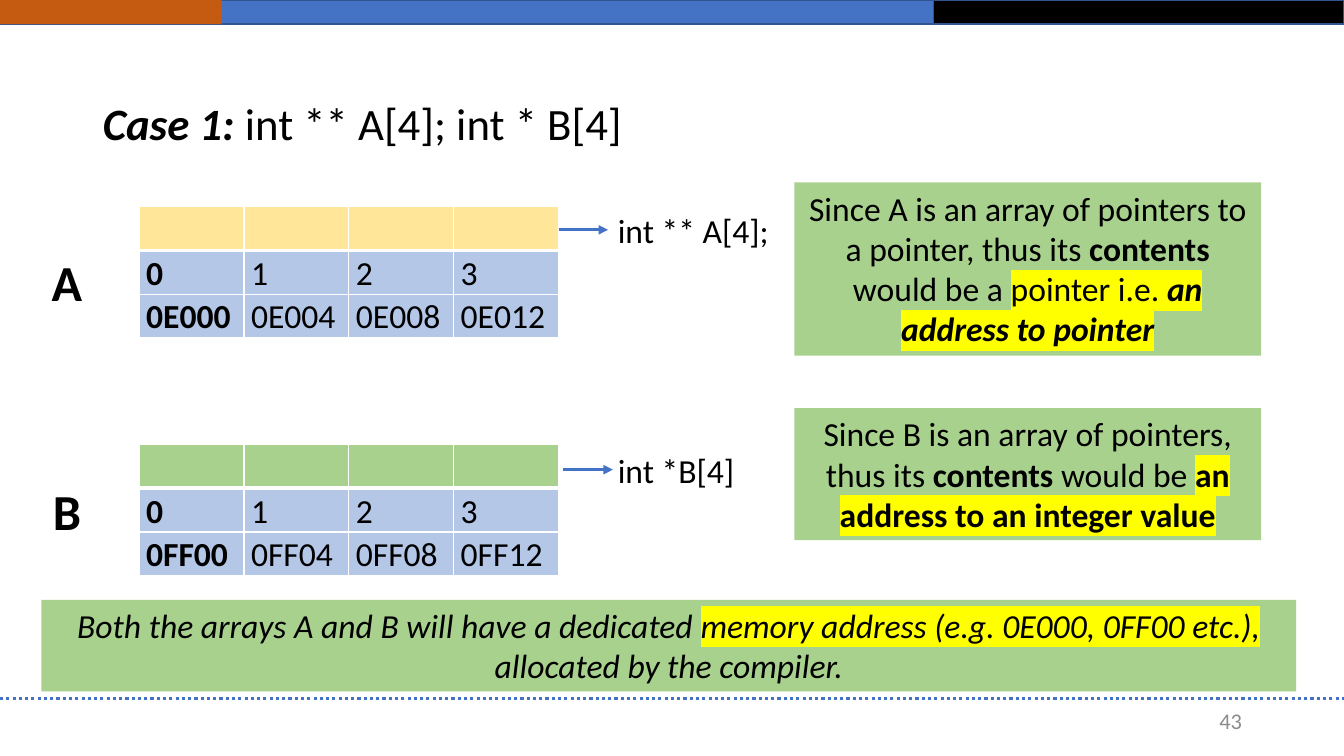
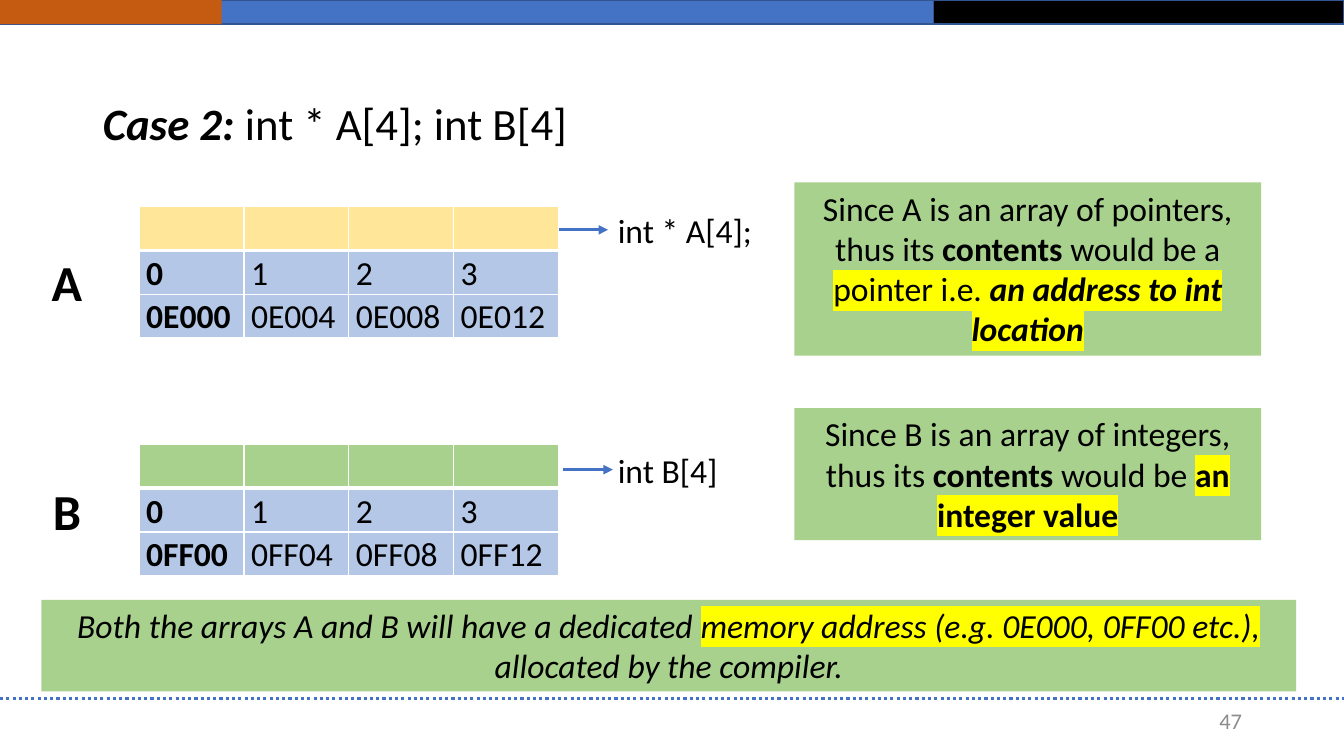
from lxml import etree
from pptx import Presentation
from pptx.dml.color import RGBColor
from pptx.enum import dml, shapes, text
from pptx.oxml import ns
from pptx.util import Pt

FONT = "Calibri"
BLUE = RGBColor(0x44, 0x72, 0xC4)
NAVY = RGBColor(0x32, 0x54, 0x91)
ORANGE = RGBColor(0xC5, 0x5A, 0x11)
BLACK = RGBColor(0x00, 0x00, 0x00)
WHITE = RGBColor(0xFF, 0xFF, 0xFF)
GRAY = RGBColor(0x8C, 0x8C, 0x8C)
GREEN = RGBColor(0xA9, 0xD1, 0x8E)
CREAM = RGBColor(0xFF, 0xE6, 0x99)
PALE = RGBColor(0xB4, 0xC7, 0xE7)
YELLOW = RGBColor(0xFF, 0xFF, 0x00)

WIDTH, HEIGHT = 960, 540
BAND_H, RULE_Y = 17.28, 499
TITLE_BOX = (66.24, 59.76, 828, 60.48)
NUMBER_BOX = (678.24, 500.4, 216, 28.8)
SUMMARY_BOX = (29.5, 428.4, 896.4, 65.5)
COL_W, ROW_H = 74.9, 31.25

# Box of each array: left, top; then offsets of its parts within the box
ARRAYS = [
    dict(name="A", box=(18, 146.2), letter_dy=7.9, table_dy=1.4, arrow_dx=381,
         fill=CREAM, addresses=["0E000", "0E004", "0E008", "0E012"]),
    dict(name="B", box=(18, 317.5), letter_dy=0, table_dy=0, arrow_dx=384.5,
         fill=GREEN, addresses=["0FF00", "0FF04", "0FF08", "0FF12"]),
]
NOTE_BOXES = [(567.4, 130.3, 333.4, 123.8), (567.4, 291.6, 333.4, 94.3)]

# Runs are (text, style); style letters: b bold, i italic, h highlight
SUMMARY = [
    ("Both the arrays A and B will have a dedicated ", "i"),
    ("memory address (e.g. 0E000, 0FF00 etc.), ", "ih"),
    ("allocated by the compiler.", "i"),
]
CASES = [
    dict(number="43", title=[("Case 1:", "bi"), (" int ** A[4]; int * B[4]", "")],
         labels=["int ** A[4];", "int *B[4]"],
         notes=[
             [("Since A is an array of pointers to a pointer, thus its ", ""),
              ("contents ", "b"), ("would be a ", ""), ("pointer i.e. ", "h"),
              ("an address to pointer", "bih")],
             [("Since B is an array of pointers, thus its ", ""),
              ("contents ", "b"), ("would be ", ""),
              ("an address to an integer value", "bh")]]),
    dict(number="47", title=[("Case 2:", "bi"), (" int * A[4]; int B[4]", "")],
         labels=["int * A[4];", "int B[4]"],
         notes=[
             [("Since A is an array of pointers, thus its ", ""),
              ("contents ", "b"), ("would be a ", ""), ("pointer i.e. ", "h"),
              ("an address to int location", "bih")],
             [("Since B is an array of integers, thus its ", ""),
              ("contents ", "b"), ("would be ", ""),
              ("an integer value", "bh")]]),
]


def pts(*values):
    return [Pt(v) for v in values]


def sub(parent, tag, **attrs):
    return etree.SubElement(parent, ns.qn(tag), attrs)


def add_runs(p, runs, size=24, color=BLACK, align=None, spacing=None):
    p.alignment = align
    p.line_spacing = spacing
    for words, style in runs:
        r = p.add_run()
        r.text = words
        f = r.font
        f.name, f.size = FONT, Pt(size)
        f.bold, f.italic = "b" in style, "i" in style
        f.color.rgb = color
        if "h" in style:
            mark = etree.Element(ns.qn("a:highlight"))
            sub(mark, "a:srgbClr", val=str(YELLOW))
            r._r.rPr.find(ns.qn("a:solidFill")).addnext(mark)


def add_text(slide, box, runs, wrap=True, anchor=text.MSO_ANCHOR.TOP, **style):
    tf = slide.shapes.add_textbox(*pts(*box)).text_frame
    tf.word_wrap, tf.vertical_anchor = wrap, anchor
    add_runs(tf.paragraphs[0], runs, **style)


def add_rect(slide, box, fill, line=None):
    sp = slide.shapes.add_shape(shapes.MSO_SHAPE.RECTANGLE, *pts(*box))
    sp.shadow.inherit = False
    sp.fill.solid()
    sp.fill.fore_color.rgb = fill
    if line is None:
        sp.line.fill.background()
    else:
        sp.line.color.rgb, sp.line.width = line, Pt(1)
    return sp


def add_line(slide, x1, y1, x2, y2):
    line = slide.shapes.add_connector(shapes.MSO_CONNECTOR.STRAIGHT,
                                      *pts(x1, y1, x2, y2))
    line.line.color.rgb, line.line.width = BLUE, Pt(2.25)
    sub(line.element.spPr, "a:effectLst")
    return line


def add_frame(slide, layout):
    """Draw the bands and the footer rule, then hand them to the layout."""
    rule = add_line(slide, 0, RULE_Y, WIDTH, RULE_Y)
    rule.line.dash_style = dml.MSO_LINE.ROUND_DOT
    parts = [
        add_rect(slide, (0, 0, 666.7, BAND_H), BLUE, NAVY),
        add_rect(slide, (666.7, 0, WIDTH - 666.7, BAND_H), BLACK, NAVY),
        add_rect(slide, (0, 0, 158.4, BAND_H), ORANGE),
        rule,
    ]
    for i, part in enumerate(parts):
        part.element.xpath(".//p:cNvPr")[0].set("id", str(100 + i))
        layout.shapes.element.append(part.element)


def style_cell(cell, fill, top, bottom):
    cell.margin_left = cell.margin_right = Pt(5)
    cell.margin_top = cell.margin_bottom = 0
    tc_pr = cell._tc.get_or_add_tcPr()
    for side, width in (("L", 1), ("R", 1), ("T", top), ("B", bottom)):
        ln = sub(tc_pr, "a:ln" + side, w=str(Pt(width)))
        sub(sub(ln, "a:solidFill"), "a:srgbClr", val=str(WHITE))
    cell.fill.solid()
    cell.fill.fore_color.rgb = fill


def add_memory_table(slide, x, y, fill, addresses):
    n = len(addresses)
    rows = [[""] * n, [str(i) for i in range(n)], addresses]
    table = slide.shapes.add_table(
        len(rows), n, *pts(x, y, n * COL_W, len(rows) * ROW_H)).table
    table.first_row = table.horz_banding = False
    for i, row in enumerate(rows):
        table.rows[i].height = Pt(ROW_H)
        for j, value in enumerate(row):
            cell = table.cell(i, j)
            style_cell(cell, PALE if i else fill,
                       top=3 if i == 1 else 1, bottom=1 if i else 3)
            if value:
                add_runs(cell.text_frame.paragraphs[0],
                         [(value, "" if j else "b")],
                         align=text.PP_ALIGN.JUSTIFY, spacing=1.07)


def add_array(slide, array, label):
    """Letter, memory table, arrow and declaration of one array."""
    x, y = array["box"]
    add_text(slide, (x, y + array["letter_dy"], 59.8, 66.2),
             [(array["name"], "b")], size=36,
             align=text.PP_ALIGN.CENTER, spacing=1.5)
    add_memory_table(slide, x + 81.4, y + array["table_dy"],
                     array["fill"], array["addresses"])
    add_text(slide, (x + 416.2, y, 128, 36), [(label, "")], wrap=False)
    start = x + array["arrow_dx"]
    arrow = add_line(slide, start, y + 18, start + 35.3, y + 18)
    sub(arrow.line._get_or_add_ln(), "a:tailEnd", type="triangle")


def add_note(slide, box, runs):
    tf = add_rect(slide, box, GREEN).text_frame
    tf.word_wrap, tf.vertical_anchor = True, text.MSO_ANCHOR.TOP
    add_runs(tf.paragraphs[0], runs, align=text.PP_ALIGN.CENTER)


def add_title(slide, runs):
    title = slide.shapes.title
    title.left, title.top, title.width, title.height = pts(*TITLE_BOX)
    tf = title.text_frame
    tf.auto_size = text.MSO_AUTO_SIZE.NONE
    tf.vertical_anchor = text.MSO_ANCHOR.MIDDLE
    add_runs(tf.paragraphs[0], runs, size=32,
             align=text.PP_ALIGN.LEFT, spacing=0.9)


def build_case(slide, case):
    add_title(slide, case["title"])
    add_text(slide, NUMBER_BOX, [(case["number"], "")], size=16, color=GRAY,
             anchor=text.MSO_ANCHOR.MIDDLE, align=text.PP_ALIGN.RIGHT)
    for array, label in zip(ARRAYS, case["labels"]):
        add_array(slide, array, label)
    for box, runs in zip(NOTE_BOXES, case["notes"]):
        add_note(slide, box, runs)
    add_note(slide, SUMMARY_BOX, SUMMARY)


def main():
    prs = Presentation()
    prs.slide_width, prs.slide_height = pts(WIDTH, HEIGHT)
    layout = prs.slide_layouts.get_by_name("Title Only")
    slides = [prs.slides.add_slide(layout) for _ in CASES]
    add_frame(slides[0], layout)
    for slide, case in zip(slides, CASES):
        build_case(slide, case)
    prs.save("out.pptx")


if __name__ == "__main__":
    main()
